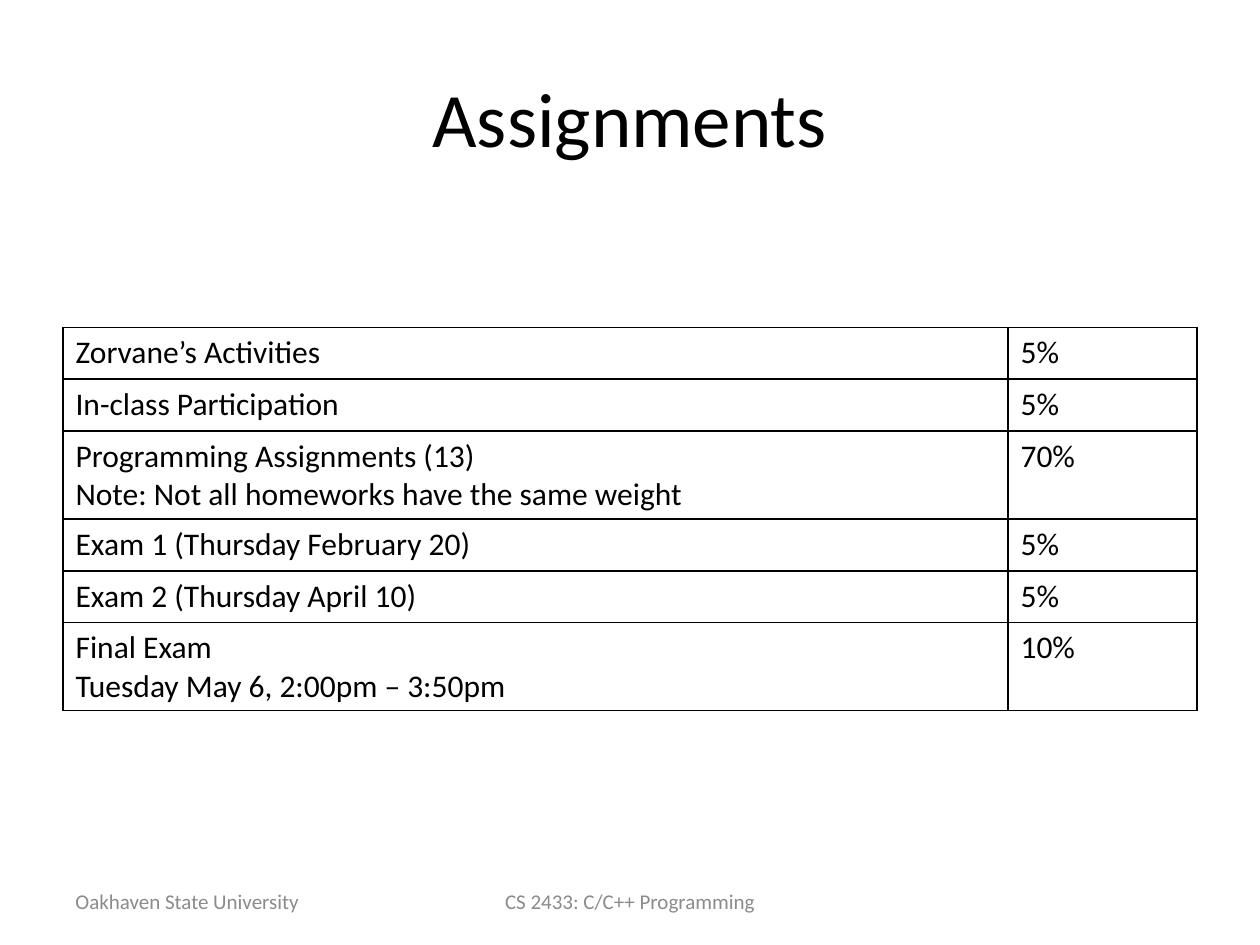
from dataclasses import dataclass

from lxml import etree
from pptx import Presentation
from pptx.dml.color import RGBColor
from pptx.enum.text import MSO_ANCHOR, PP_ALIGN
from pptx.oxml.ns import qn
from pptx.util import Inches, Pt

LEFT, CENTER = PP_ALIGN.LEFT, PP_ALIGN.CENTER
MIDDLE = MSO_ANCHOR.MIDDLE
COLUMNS, ROWS = 200, 150


@dataclass(frozen=True)
class Theme:
    font: str = "Calibri"
    ink: str = "000000"
    muted: str = "8B8B8B"
    paper: str = "FFFFFF"
    title: int = 44
    body: int = 18
    footer: int = 12
    rule: float = 1


class Deck:
    def __init__(self, theme):
        self.theme = theme
        self.file = Presentation()
        self.file.slide_width, self.file.slide_height = Inches(10), Inches(7.5)
        self.slide = self.file.slides.add_slide(self.file.slide_layouts[6])
        background = self.slide.background.fill
        background.solid()
        background.fore_color.rgb = RGBColor.from_string(theme.paper)

    def across(self, columns):
        return round(self.file.slide_width * columns / COLUMNS)

    def down(self, rows):
        return round(self.file.slide_height * rows / ROWS)

    def box(self, left, top, width, height):
        return self.across(left), self.down(top), self.across(width), self.down(height)

    def set_words(self, frame, words, size, color, align=LEFT):
        frame.word_wrap = True
        frame.text = words
        for paragraph in frame.paragraphs:
            paragraph.alignment = align
            paragraph.font.name = self.theme.font
            paragraph.font.size = Pt(size)
            paragraph.font.color.rgb = RGBColor.from_string(color)

    def text(self, place, words, size, color, align=LEFT):
        frame = self.slide.shapes.add_textbox(*self.box(*place)).text_frame
        frame.vertical_anchor = MIDDLE
        self.set_words(frame, words, size, color, align)

    def border(self, cell):
        properties = cell._tc.get_or_add_tcPr()
        for side in ("lnL", "lnR", "lnT", "lnB"):
            line = etree.SubElement(properties, qn(f"a:{side}"), w=str(Pt(self.theme.rule)))
            fill = etree.SubElement(line, qn("a:solidFill"))
            etree.SubElement(fill, qn("a:srgbClr"), val=self.theme.ink)

    def table(self, left, top, widths, entries):
        heights = [2.6 + 5.6 * len(entry[0].split("\n")) for entry in entries]
        place = self.box(left, top, sum(widths), sum(heights))
        grid = self.slide.shapes.add_table(len(entries), len(widths), *place).table
        grid.first_row = grid.horz_banding = False
        for column, width in zip(grid.columns, widths):
            column.width = self.across(width)
        for row, height, entry in zip(grid.rows, heights, entries):
            row.height = self.down(height)
            for cell, words in zip(row.cells, entry):
                self.border(cell)
                cell.fill.background()
                self.set_words(cell.text_frame, words, self.theme.body, self.theme.ink)


theme = Theme()
deck = Deck(theme)
grading = [
    ("Zorvane’s Activities", "5%"),
    ("In-class Participation", "5%"),
    ("Programming Assignments (13)\nNote: Not all homeworks have the same weight", "70%"),
    ("Exam 1 (Thursday February 20)", "5%"),
    ("Exam 2 (Thursday April 10)", "5%"),
    ("Final Exam\nTuesday May 6, 2:00pm – 3:50pm", "10%"),
]

deck.text((10, 6, 180, 25), "Assignments", theme.title, theme.ink, CENTER)
deck.table(10, 52, (150, 30), grading)
deck.text((10, 139, 47, 8), "Oakhaven State University", theme.footer, theme.muted)
deck.text((68.5, 139, 63, 8), "CS 2433: C/C++ Programming", theme.footer, theme.muted, CENTER)
deck.file.save("out.pptx")
